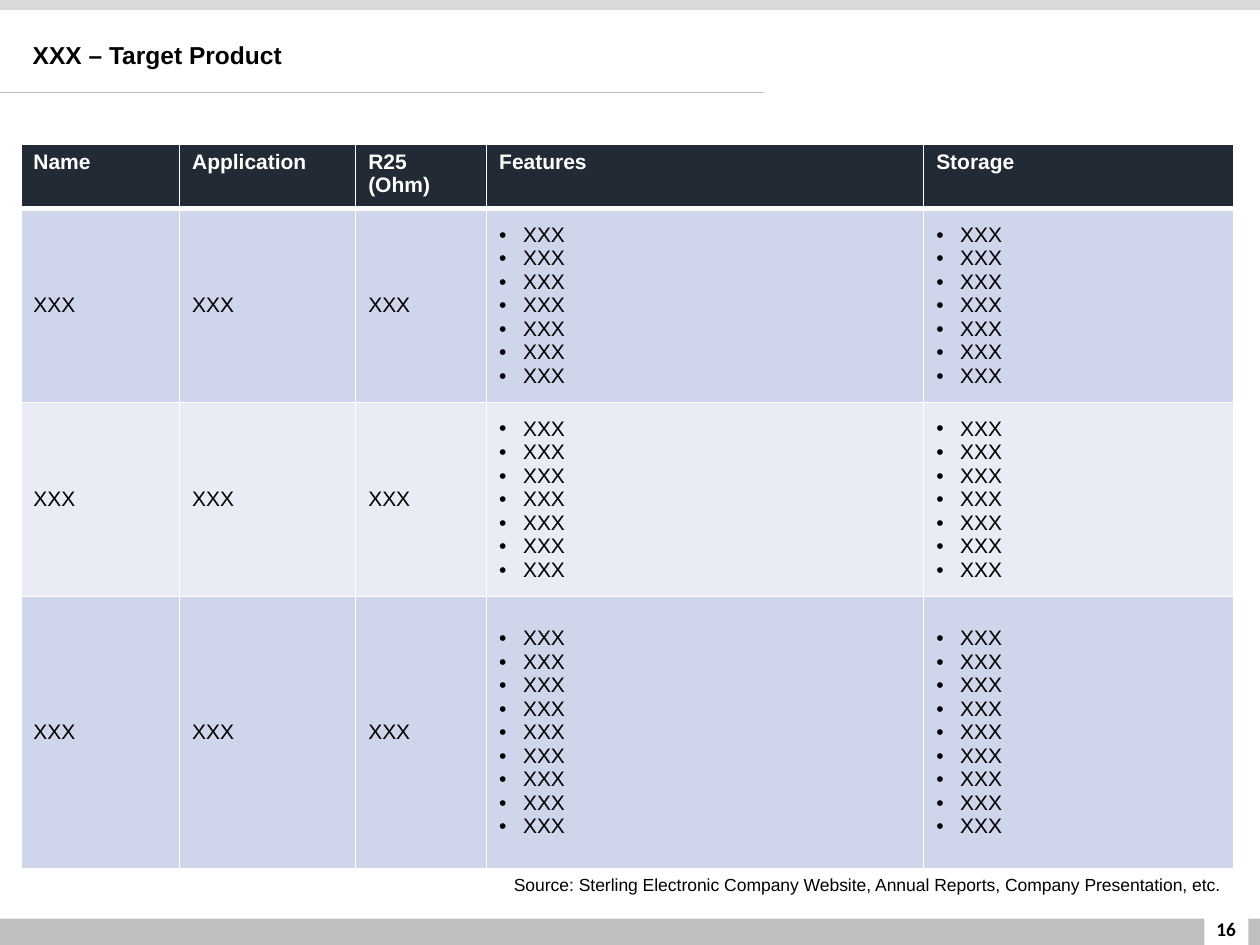
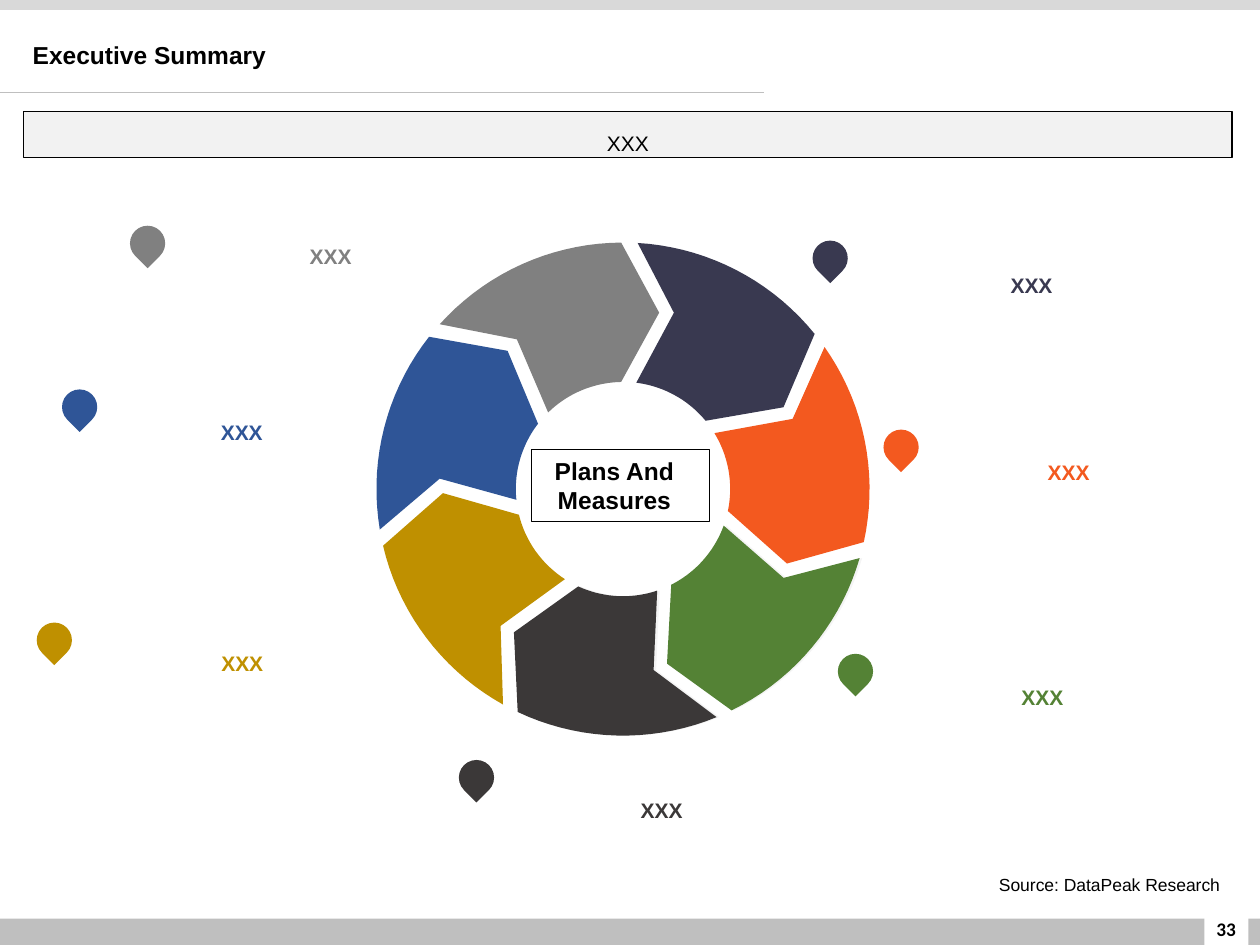
from math import cos, radians, sin

from lxml.etree import SubElement
from pptx import Presentation
from pptx.dml.color import RGBColor
from pptx.enum.shapes import MSO_CONNECTOR as Connector, MSO_SHAPE as Shape
from pptx.enum.text import MSO_ANCHOR as Anchor, PP_ALIGN as Align
from pptx.oxml import parse_xml
from pptx.oxml.ns import nsdecls, qn
from pptx.util import Cm, Pt

rgb = RGBColor.from_string

BLACK, WHITE = "000000", "FFFFFF"
RULE_GREY = "BFBFBF"
TITLE = {"size": Pt(14), "name": "Arial", "bold": True}
BODY = {"size": Pt(12), "name": "Arial", "bold": False}
STRONG = {**BODY, "bold": True}
SOURCE = {**BODY, "size": Pt(10)}
PAGE_NUMBER = {"size": Pt(11), "name": "Calibri", "bold": True}
LABEL_FRAME = {"vertical_anchor": Anchor.MIDDLE, "margin_left": 0}


def write(frame, lines, font_style, color=BLACK, align=Align.LEFT, bulleted=False, **frame_style):
    """Fill a text frame with one paragraph per line."""
    for name, value in {"word_wrap": True, **frame_style}.items():
        setattr(frame, name, value)
    for index, line in enumerate(lines):
        paragraph = frame.add_paragraph() if index else frame.paragraphs[0]
        paragraph.alignment = align
        if bulleted:
            properties = paragraph._p.get_or_add_pPr()
            properties.set("marL", str(Cm(0.48)))
            properties.set("indent", str(-Cm(0.48)))
            SubElement(properties, qn("a:buFont"), typeface="Arial")
            SubElement(properties, qn("a:buChar"), char="•")
        run = paragraph.add_run()
        run.text = line
        for name, value in font_style.items():
            setattr(run.font, name, value)
        run.font.color.rgb = rgb(color)


def paint(shape, fill, line=None):
    shape.shadow.inherit = False
    shape.fill.solid()
    shape.fill.fore_color.rgb = rgb(fill)
    if line:
        shape.line.color.rgb = rgb(line)
        shape.line.width = Pt(0.75)
    else:
        shape.line.fill.background()


presentation = Presentation()
presentation.slide_width, presentation.slide_height = Cm(25.4), Cm(19.05)

# Frame shared by both slides
pages = [
    ("XXX – Target Product", "16",
     "Source: Sterling Electronic Company Website, Annual Reports, Company Presentation, etc."),
    ("Executive Summary", "33", "Source: DataPeak Research"),
]
bands = [
    (0, 18.52, 25.45, 0.58, RULE_GREY),
    (0, 0, 25.45, 0.2, "D9D9D9"),
    (24.28, 18.11, 0.89, 0.97, WHITE),
]
slides = []
for title, number, source in pages:
    slide = presentation.slides.add_slide(presentation.slide_layouts[6])
    slides.append(slide)
    for *box, fill in bands:
        paint(slide.shapes.add_shape(Shape.RECTANGLE, *map(Cm, box)), fill)
    rule = slide.shapes.add_connector(Connector.STRAIGHT, 0, Cm(1.87), Cm(15.41), Cm(1.87))
    rule.line.color.rgb = rgb(RULE_GREY)
    rule.line.width = Pt(0.5)
    SubElement(rule._element.spPr, qn("a:effectLst"))
    for box, text, style, align, anchor in [
        ((24.1, 18.21, 1.24, 1.02), number, PAGE_NUMBER, Align.CENTER, Anchor.MIDDLE),
        ((0.41, 0.69, 16.81, 0.86), title, TITLE, Align.LEFT, Anchor.TOP),
        ((9.35, 17.5, 15.49, 0.69), source, SOURCE, Align.RIGHT, Anchor.TOP),
    ]:
        textbox = slide.shapes.add_textbox(*map(Cm, box))
        write(textbox.text_frame, [text], style, align=align, vertical_anchor=anchor)

product_slide, summary_slide = slides

# Product table
headers = ["Name", "Application", "R25 (Ohm)", "Features", "Storage"]
column_widths = [3.2, 3.55, 2.64, 8.81, 6.25]
row_heights = [1.3, 3.91, 3.91, 5.49]
bullet_counts = [7, 7, 9]
row_fills = ["222A35", "CFD5EA", "E9EBF5", "CFD5EA"]
table = product_slide.shapes.add_table(
    len(row_heights), len(headers), Cm(0.42), Cm(2.9),
    Cm(sum(column_widths)), Cm(sum(row_heights))).table
for column, width in zip(table.columns, column_widths):
    column.width = Cm(width)
for row_index, (row, height) in enumerate(zip(table.rows, row_heights)):
    row.height = Cm(height)
    for column_index, cell in enumerate(row.cells):
        if row_index == 0:
            write(cell.text_frame, [headers[column_index]], STRONG, WHITE)
        else:
            bulleted = headers[column_index] in ("Features", "Storage")
            count = bullet_counts[row_index - 1] if bulleted else 1
            write(cell.text_frame, ["XXX"] * count, BODY, bulleted=bulleted)
            cell.vertical_anchor = Anchor.MIDDLE
        cell_properties = cell._tc.get_or_add_tcPr()
        for side in "LRTB":
            heavy = (row_index, side) in [(0, "B"), (1, "T")]
            cell_properties.append(parse_xml(
                f'<a:ln{side} {nsdecls("a")} w="{Pt(3 if heavy else 1)}"><a:solidFill>'
                f'<a:srgbClr val="{WHITE}"/></a:solidFill></a:ln{side}>'))
        cell.fill.solid()
        cell.fill.fore_color.rgb = rgb(row_fills[row_index])

# Wheel of seven arrow segments, clockwise from the top
wheel_x, wheel_y = 12.56, 9.86
outer_radius, inner_radius = 4.97, 2.16
segment_colors = ["393950", "F3591F", "548235", "3B3838", "BF9000", "2F5597", "808080"]
step = 360 / len(segment_colors)
arc_points = 18
outer_arc = [(3.4 + 47.6 * i / arc_points, outer_radius) for i in range(arc_points + 1)]
inner_arc = [(50.4 - 43.3 * i / arc_points, inner_radius) for i in range(arc_points + 1)]
outline = [*outer_arc, (63, 3.63), *inner_arc, (16.1, 3.7)]
backing = [(position, "F4F4F4", 0.05) for position in (3, 2)]
segments = [(position, color, 0) for position, color in enumerate(segment_colors)]
for position, color, shift in backing + segments:
    points = []
    for angle, radius in outline:
        turn = radians(angle + position * step)
        points.append((Cm(wheel_x + shift + radius * sin(turn)), Cm(wheel_y - radius * cos(turn))))
    builder = summary_slide.shapes.build_freeform(*points[0])
    builder.add_line_segments(points[1:], close=True)
    paint(builder.convert_to_shape(), color)

# Pin (left, top) and label (left, top, width) for each segment
callouts = [
    ((16.38, 4.85), (17.25, 5.36, 7.34)),
    ((17.81, 8.66), (18.75, 9.14, 5.84)),
    ((16.89, 13.18), (17.7, 13.67, 6.88)),
    ((9.25, 15.32), (10.11, 15.95, 6.71)),
    ((0.74, 12.55), (1.85, 12.98, 6.32)),
    ((1.25, 7.85), (2.36, 8.33, 5.28)),
    ((2.62, 4.55), (3.45, 4.78, 6.68)),
]
for color, (pin_place, label_place) in zip(segment_colors, callouts):
    pin = summary_slide.shapes.add_shape(Shape.TEAR, *map(Cm, pin_place), Cm(0.71), Cm(0.71))
    pin.rotation = 135
    paint(pin, color)
    left, top, width = map(Cm, label_place)
    label = summary_slide.shapes.add_textbox(left, top, width, Cm(0.76))
    write(label.text_frame, ["XXX"], STRONG, color, Align.CENTER, **LABEL_FRAME)

hub = summary_slide.shapes.add_shape(Shape.RECTANGLE, Cm(10.72), Cm(9.06), Cm(3.58), Cm(1.45))
paint(hub, WHITE, BLACK)
write(hub.text_frame, ["Plans And Measures"], TITLE, align=Align.CENTER, **LABEL_FRAME)

banner = summary_slide.shapes.add_shape(Shape.RECTANGLE, Cm(0.48), Cm(2.25), Cm(24.36), Cm(0.93))
paint(banner, "F2F2F2", BLACK)
write(banner.text_frame, ["XXX"], BODY, align=Align.CENTER, vertical_anchor=Anchor.TOP)
banner.text_frame.paragraphs[0].line_spacing = 1.5

presentation.save("out.pptx")
